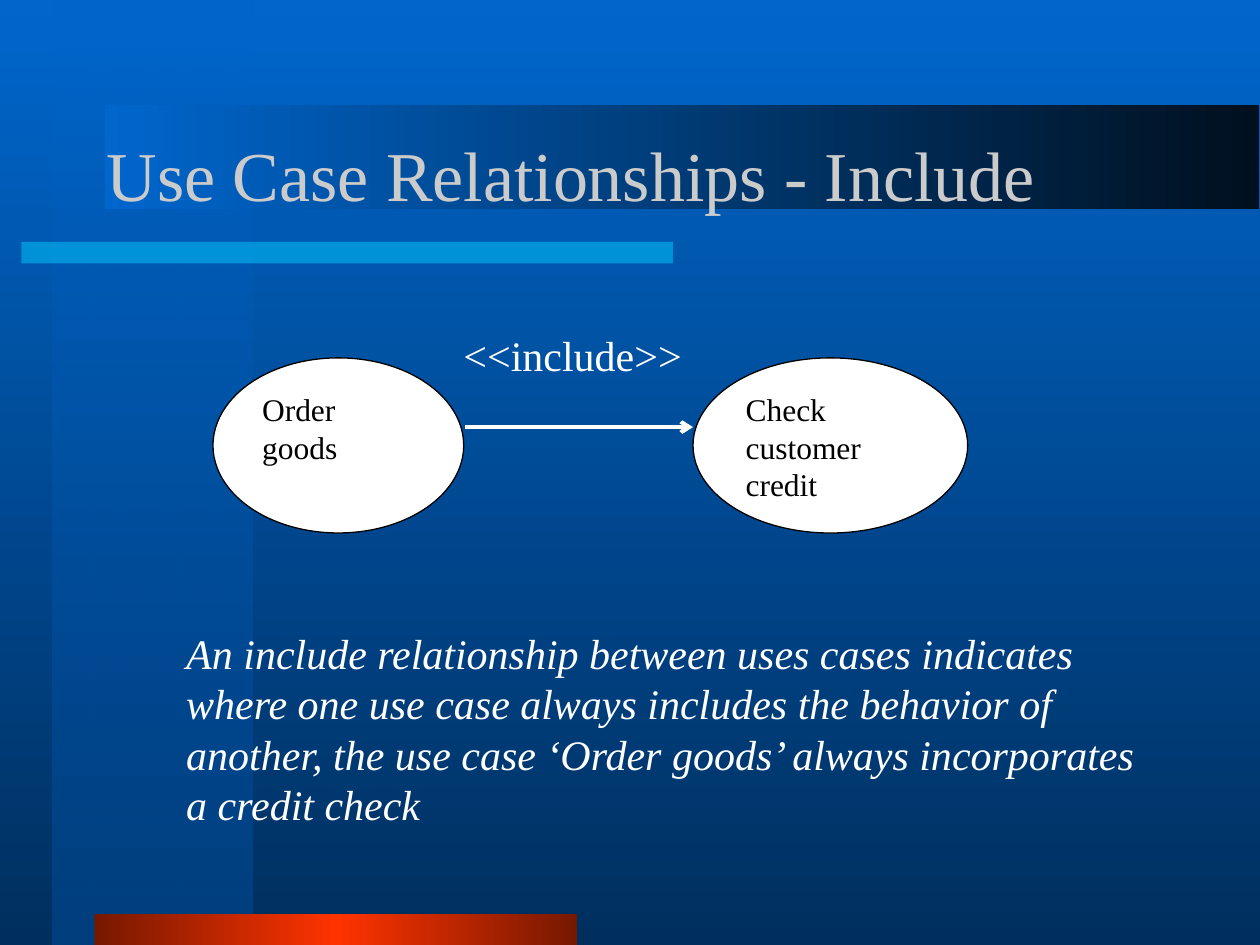
import pptx
import pptx.util
import pptx.dml.color
import pptx.enum.shapes
import pptx.enum.text
import pptx.oxml
import pptx.oxml.ns
import lxml.etree

Inches, Pt = pptx.util.Inches, pptx.util.Pt
KIND = pptx.enum.shapes.MSO_SHAPE
ANCHOR = pptx.enum.text.MSO_ANCHOR
qn = pptx.oxml.ns.qn

FONT = "Times New Roman"
HEX = {
    "sky": "0066CC", "navy": "002F5E", "band": "003F7E", "cyan": "00CCFF",
    "rust": "761800", "red": "FF3300", "night": "00101F",
    "grey": "CBCBCB", "white": "FFFFFF", "black": "000000",
}

# Content: box is left, top, width, height; a stop is position, colour, opacity
BACK = [(0, "sky", 100), (100, "navy", 100)]
BARS = [
    ((0.42, 0, 1.58, 7.5), 90, [(0, "sky", 50), (100, "band", 100)]),
    ((0.17, 1.92, 5.17, 0.17), 0, [(0, "cyan", 50), (100, "cyan", 50)]),
    ((0.75, 7.25, 3.83, 0.25), 0,
     [(0, "rust", 100), (50, "red", 100), (100, "rust", 100)]),
    ((0.83, 0.83, 9.16, 0.83), 0, [(0, "sky", 100), (100, "night", 100)]),
]
CASES = [
    ("Order goods", (1.69, 2.84, 1.99, 1.39)),
    ("Check customer credit", (5.5, 2.84, 2.18, 1.39)),
]
ARROW = (3.69, 3.39, 5.5, 3.39)
TITLE = ("Use Case Relationships - Include", (0.75, 0.84, 8.5, 1.08))
LABEL = ("<<include>>", (3.58, 2.57, 2.28, 0.5))
NOTE = ("An include relationship between uses cases indicates where one use "
        "case always includes the behavior of another, the use case ‘Order "
        "goods’ always incorporates a credit check", (1.38, 4.93, 7.8, 1.7))


def rgb(name):
    return pptx.dml.color.RGBColor.from_string(HEX[name])


def place(box):
    return [Inches(n) for n in box]


def blend(fill, root, angle, stops):
    """Give a fill a linear gradient, its angle counted clockwise."""
    fill.gradient()
    fill.gradient_angle = -angle % 360
    group = next(root.iter(qn("a:gsLst")))
    for old in list(group):
        group.remove(old)
    for pos, name, alpha in stops:
        stop = lxml.etree.SubElement(group, qn("a:gs"), pos=str(pos * 1000))
        tint = lxml.etree.SubElement(stop, qn("a:srgbClr"), val=HEX[name])
        if alpha < 100:
            lxml.etree.SubElement(tint, qn("a:alpha"), val=str(alpha * 1000))


def write(shape, text, size, color, anchor=ANCHOR.TOP, before=0, italic=False):
    frame = shape.text_frame
    frame.word_wrap = True
    frame.vertical_anchor = anchor
    para = frame.paragraphs[0]
    para.alignment = pptx.enum.text.PP_ALIGN.LEFT
    para.space_before = Pt(before)
    run = para.add_run()
    run.text = text
    font = run.font
    font.name, font.size, font.italic = FONT, Pt(size), italic
    font.color.rgb = rgb(color)


def shape(shapes, kind, box):
    item = shapes.add_shape(kind, *place(box))
    item.shadow.inherit = False
    return item


def main():
    deck = pptx.Presentation()
    deck.slide_width, deck.slide_height = Inches(10), Inches(7.5)
    slide = deck.slides.add_slide(deck.slide_layouts[6])
    shapes = slide.shapes

    # Background and bars
    blend(slide.background.fill, slide.element, 90, BACK)
    for box, angle, stops in BARS:
        bar = shape(shapes, KIND.RECTANGLE, box)
        bar.line.fill.background()
        blend(bar.fill, bar.element.spPr, angle, stops)

    # Title
    text, box = TITLE
    write(shapes.add_textbox(*place(box)), text, 40, "grey", ANCHOR.MIDDLE)

    # Use cases
    for text, box in CASES:
        oval = shape(shapes, KIND.OVAL, box)
        oval.fill.solid()
        oval.fill.fore_color.rgb = rgb("white")
        oval.line.color.rgb = rgb("black")
        oval.line.width = Pt(0.75)
        write(oval, text, 18, "black")

    # Arrow between them
    arrow = shapes.add_connector(
        pptx.enum.shapes.MSO_CONNECTOR.STRAIGHT, *place(ARROW))
    arrow.line.color.rgb = rgb("white")
    arrow.line.width = Pt(2.25)
    lxml.etree.SubElement(
        arrow.line._get_or_add_ln(), qn("a:tailEnd"), type="arrow")
    lxml.etree.SubElement(arrow.element.spPr, qn("a:effectLst"))

    # Arrow label and explanation
    for (text, box), italic in ((LABEL, False), (NOTE, True)):
        write(shapes.add_textbox(*place(box)), text, 24, "white",
              before=15, italic=italic)

    deck.save("out.pptx")


if __name__ == "__main__":
    main()
